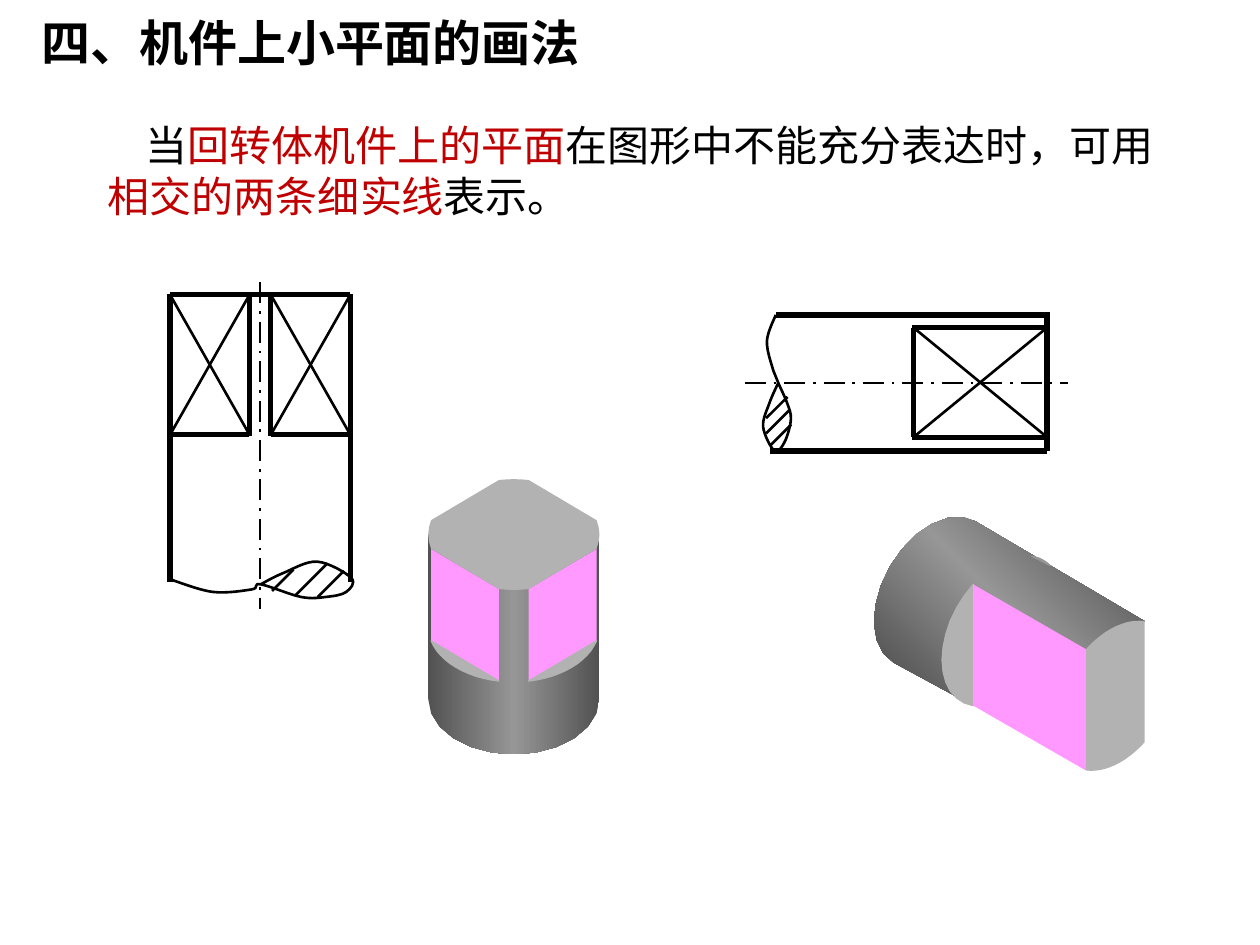
from copy import deepcopy
from math import cos, radians, sin

from lxml.etree import SubElement
from pptx import Presentation
from pptx.dml.color import RGBColor
from pptx.enum.dml import MSO_LINE
from pptx.enum.shapes import MSO_CONNECTOR
from pptx.enum.text import MSO_ANCHOR, PP_ALIGN
from pptx.oxml.ns import qn
from pptx.util import Pt

FONT = "Noto Sans CJK SC"
BLACK, RED, PINK, GREY, MID_GREY = "000000", "C00000", "FF99FF", "B2B2B2", "969696"
THICK, THIN = 3, 1.5
UNIT = 0.72  # points per drawing unit
FINE = 10  # freeform steps per drawing unit


def rgb(hex_color):
    return RGBColor.from_string(hex_color)


def add_run(paragraph, text, size=24, color=BLACK, bold=False):
    run = paragraph.add_run()
    run.text = text
    run.font.size = Pt(size)
    run.font.bold = bold
    run.font.color.rgb = rgb(color)
    run.font.name = FONT
    SubElement(run.font._element, qn("a:ea"), typeface=FONT)


def circle_point(center, across, down, angle):
    """Point of a circle seen at a slant; across and down are its two radii."""
    c, s = cos(radians(angle)), sin(radians(angle))
    return tuple(center[i] + across[i] * c + down[i] * s for i in (0, 1))


def arc(center, across, down, start, end, steps=12):
    return [circle_point(center, across, down, start + (end - start) * i / steps)
            for i in range(steps + 1)]


def smooth_controls(knots):
    """Catmull-Rom rule: two control points and an end for each pair of knots."""
    padded = [knots[0], *knots, knots[-1]]
    points = []
    for before, start, end, after in zip(padded, padded[1:], padded[2:], padded[3:]):
        points.append(tuple(start[i] + (end[i] - before[i]) / 6 for i in (0, 1)))
        points.append(tuple(end[i] - (after[i] - start[i]) / 6 for i in (0, 1)))
        points.append(end)
    return points


class Sketch:
    """Holds the slide, the group being drawn and the drawing style."""

    def __init__(self, slide):
        self.slide = slide
        self.group = None

    def start_group(self):
        self.group = self.slide.shapes.add_group_shape()

    def text(self, placeholder, box, anchor, runs, line_height, indent=0, **style):
        placeholder.left, placeholder.top, placeholder.width, placeholder.height = map(Pt, box)
        frame = placeholder.text_frame
        frame.word_wrap = True
        frame.vertical_anchor = anchor
        paragraph = frame.paragraphs[0]
        paragraph.alignment = PP_ALIGN.LEFT
        paragraph.line_spacing = Pt(line_height)
        paragraph.space_before = Pt(0)
        properties = paragraph._p.get_or_add_pPr()
        properties.set("marL", "0")
        properties.set("indent", str(Pt(indent)))
        SubElement(properties, qn("a:buNone"))
        for words, color in runs:
            add_run(paragraph, words, color=color, **style)

    def line(self, x1, y1, x2, y2, width=THIN, dash=None):
        ends = [Pt(value * UNIT) for value in (x1, y1, x2, y2)]
        connector = self.group.shapes.add_connector(MSO_CONNECTOR.STRAIGHT, *ends)
        connector.line.color.rgb = rgb(BLACK)
        connector.line.width = Pt(width)
        if dash:
            connector.line.dash_style = dash
        SubElement(connector._element.spPr, qn("a:effectLst"))

    def axis(self, *ends):
        self.line(*ends, dash=MSO_LINE.LONG_DASH_DOT)

    def diagonals(self, left, top, right, bottom):
        self.line(left, top, right, bottom)
        self.line(right, top, left, bottom)

    def outline(self, points, close=True):
        first, *rest = [(x * FINE, y * FINE) for x, y in points]
        builder = self.group.shapes.build_freeform(*first, scale=Pt(UNIT / FINE))
        builder.add_line_segments(rest, close=close)
        shape = builder.convert_to_shape()
        shape.shadow.inherit = False
        shape.line.fill.background()
        return shape

    def face(self, points, fill=GREY, border=None, width=0):
        shape = self.outline(points)
        shape.fill.solid()
        shape.fill.fore_color.rgb = rgb(fill)
        if border:
            shape.line.color.rgb = rgb(border)
            shape.line.width = Pt(width)

    def round_face(self, points, edge, angle):
        shape = self.outline(points)
        shape.fill.gradient()
        shape.fill.gradient_angle = angle
        stop_list = shape._element.xpath(".//a:gsLst")[0]
        stop_list.append(deepcopy(stop_list[0]))
        stops = zip(shape.fill.gradient_stops, (0, 0.5, 1), (edge, MID_GREY, edge))
        for stop, position, color in stops:
            stop.position = position
            stop.color.rgb = rgb(color)

    def broken_end(self, knots, hatches):
        """Smooth break line, with 45 degree hatching given as x, y and rise."""
        shape = self.outline([knots[0], *smooth_controls(knots)], close=False)
        shape.fill.background()
        shape.line.color.rgb = rgb(BLACK)
        shape.line.width = Pt(THIN)
        contour = shape._element.xpath(".//a:path")[0]
        segments = contour.findall(qn("a:lnTo"))
        for first in range(0, len(segments), 3):
            cubic = SubElement(contour, qn("a:cubicBezTo"))
            for segment in segments[first:first + 3]:
                cubic.append(segment[0])
                contour.remove(segment)
        for x, y, rise in hatches:
            self.line(x, y, x + rise, y - rise)


def draw_upright_view(sketch):
    axis_x, outer_reach, inner_reach = 206.5, 71.5, 8.5
    top, flat_bottom, bottom = 234, 345, 462
    sketch.start_group()
    sketch.axis(axis_x, 224, axis_x, 483)
    sketch.line(axis_x - outer_reach, top, axis_x + outer_reach, top, THICK)
    for side in (-1, 1):
        outer, inner = axis_x + side * outer_reach, axis_x + side * inner_reach
        sketch.line(outer, top - 1, outer, bottom, THICK)
        sketch.line(inner, top, inner, flat_bottom + 1, THICK)
        sketch.line(inner, flat_bottom, outer, flat_bottom, THICK)
        sketch.diagonals(outer, top, inner, flat_bottom)
    wave = [(135, 460), (169, 470), (200, 468), (207, 464)]
    loop = [(239, 474), (259, 474), (275, 470), (279, 459), (252, 446), (225, 455), wave[-1]]
    sketch.broken_end(wave + loop, [(216, 469, 17), (234, 473, 26), (252, 474, 21)])


def draw_lying_view(sketch):
    axis_y, end_x, flat_x = 304, 831, 725
    top, flat_top, flat_bottom, bottom = 250, 260, 347, 358
    sketch.start_group()
    sketch.axis(591, axis_y, 848, axis_y)
    sketch.line(end_x, top - 2, end_x, bottom, THICK)
    for start, y in ((616, top), (611, bottom), (flat_x - 1, flat_top), (flat_x - 1, flat_bottom)):
        sketch.line(end_x, y, start, y, THICK)
    sketch.line(flat_x, flat_top, flat_x, flat_bottom, THICK)
    sketch.diagonals(flat_x, flat_top, end_x, flat_bottom)
    wave = [(616, top), (609, 271), (614, 294), (618, axis_y)]
    loop = [(625, 320), (628, 333), (623, 351), (615, bottom), (606, 339), (611, 320), wave[-1]]
    sketch.broken_end(wave + loop, [(608, 332, 17), (608, 344, 19), (611, 354, 17)])


def draw_upright_solid(sketch):
    radii = (68, 0), (0, 44)
    cap, ledge, base = ((408, y) for y in (424.5, 497.5, 555))
    sketch.start_group()
    sketch.round_face(arc(cap, *radii, 0, 0, 1)[:1] + arc(base, *radii, 0, 180)
                      + arc(cap, *radii, 180, 180, 1)[:1], edge="525252", angle=0)
    # Each flat runs between two angles on the cap and the ledge
    for start, end in ((15, 80), (100, 165)):
        sketch.face(arc(cap, *radii, start, end, 1) + arc(ledge, *radii, end, start, 1), PINK)
        sketch.face(arc(ledge, *radii, start, end), border=GREY)
    # The cap keeps the four round corners left between the flats
    corners = [arc(cap, *radii, middle - half, middle + half, 4)
               for middle, half in ((0, 15), (90, 10), (180, 15), (270, 10))]
    sketch.face(sum(corners, []))


def draw_lying_solid(sketch):
    radii = (48, -23), (0, 55)
    back, shoulder, front = (742, 470), (796, 501), (885.5, 552.5)
    flat_angle, silhouette = 119, 132.7
    far_edge = flat_angle - 180
    near_end = arc(front, *radii, -flat_angle, flat_angle, 1)
    near_shoulder = arc(shoulder, *radii, flat_angle, -flat_angle, 1)
    sketch.start_group()
    sketch.round_face(arc(back, *radii, silhouette, silhouette + 180)
                      + [circle_point(front, *radii, far_edge), near_end[0], near_shoulder[0]],
                      edge="454545", angle=45)
    sketch.face(arc(shoulder, *radii, flat_angle, 360 - flat_angle), border=GREY)
    sketch.face(arc(front, *radii, -flat_angle, far_edge)
                + arc(front, *radii, -far_edge, flat_angle))
    sketch.face(near_end + near_shoulder, PINK)
    sketch.face(arc(shoulder, *radii, far_edge, -38), border=MID_GREY, width=0.75)


def main():
    presentation = Presentation()
    presentation.slide_width, presentation.slide_height = Pt(720), Pt(540)
    slide = presentation.slides.add_slide(presentation.slide_layouts[1])
    sketch = Sketch(slide)

    # Heading and rule
    sketch.text(slide.shapes.title, (16.5, 3, 371.5, 41), MSO_ANCHOR.TOP,
                [("四、机件上小平面的画法", BLACK)], line_height=34, size=28, bold=True)
    sketch.text(slide.placeholders[1], (54.5, 64.5, 631.5, 65.5), MSO_ANCHOR.MIDDLE,
                [("当", BLACK), ("回转体机件上的平面", RED),
                 ("在图形中不能充分表达时，可用", BLACK),
                 ("相交的两条细实线", RED), ("表示。", BLACK)],
                line_height=29, indent=21.5)

    # Views and solids of both shafts
    for draw in (draw_upright_view, draw_lying_view, draw_upright_solid, draw_lying_solid):
        draw(sketch)

    presentation.save("out.pptx")


if __name__ == "__main__":
    main()
